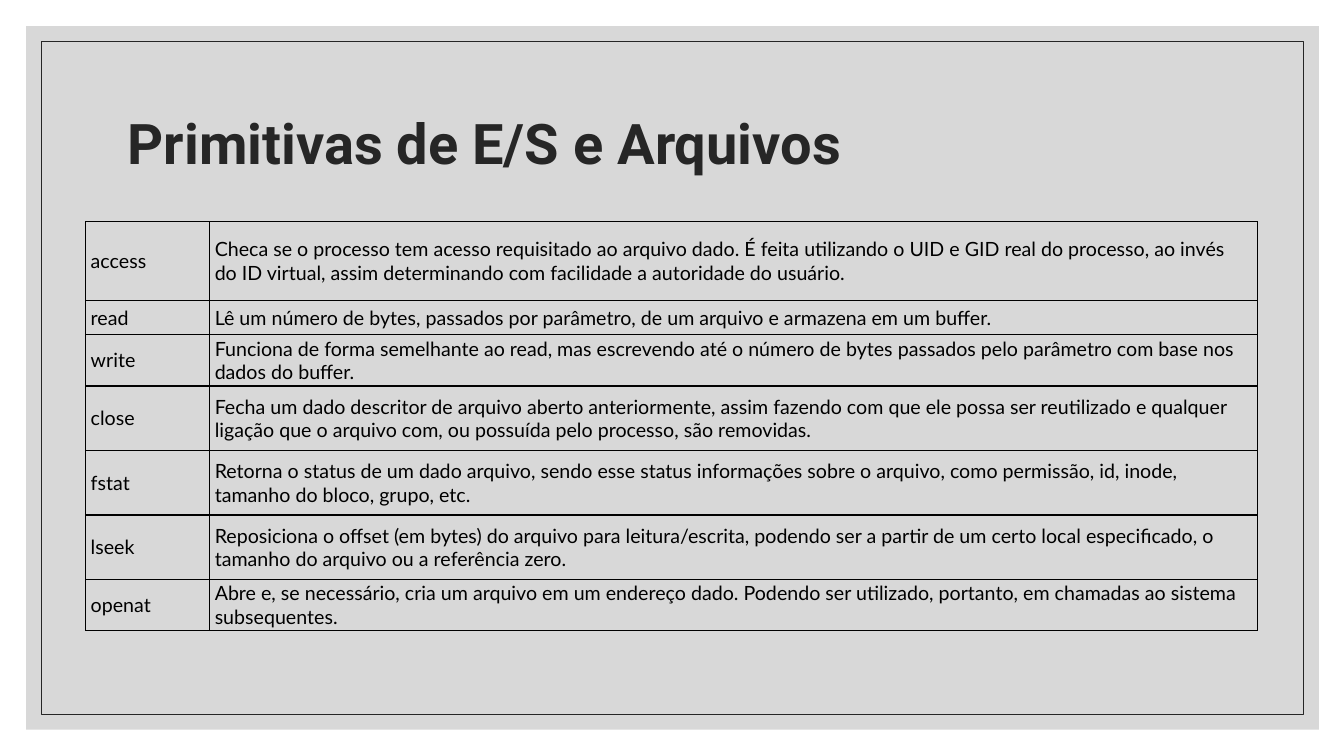
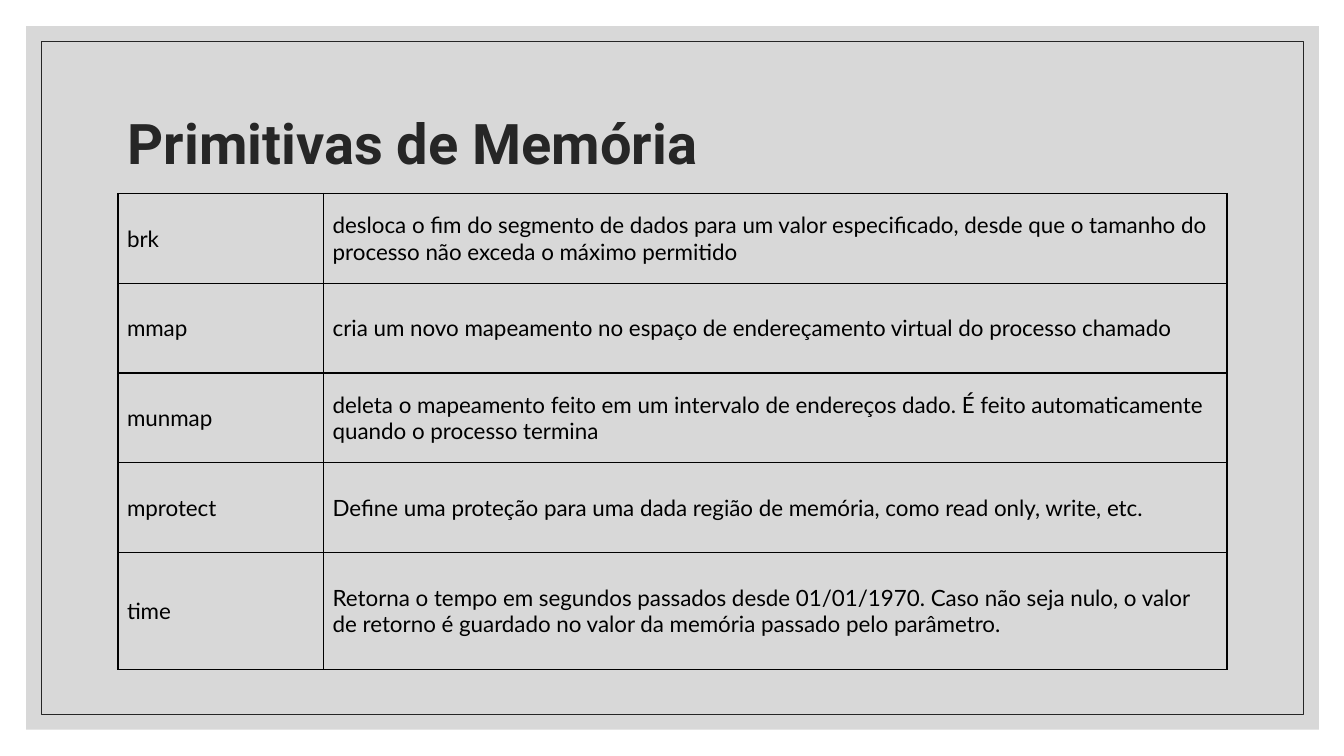
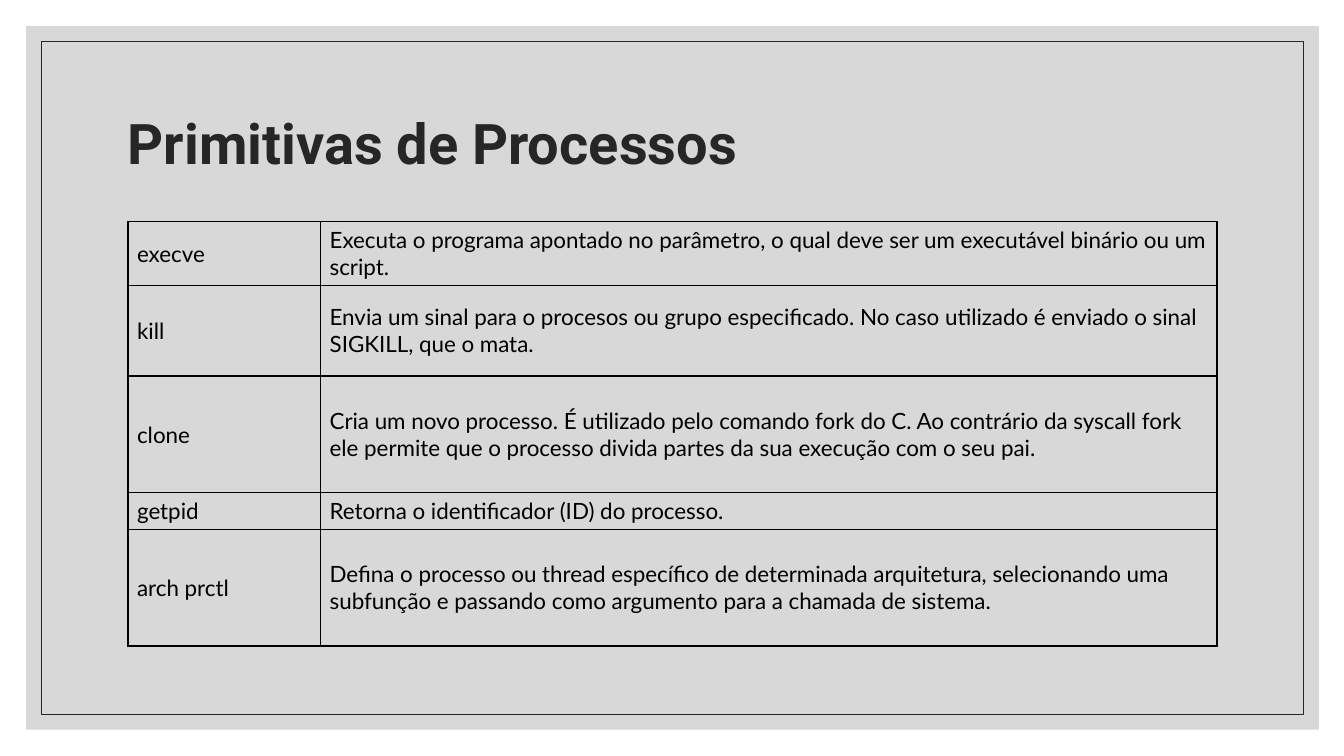
from dataclasses import dataclass

from lxml.etree import SubElement
from pptx import Presentation
from pptx.dml.color import RGBColor
from pptx.enum.shapes import MSO_SHAPE as Shape
from pptx.enum.text import MSO_ANCHOR as Anchor
from pptx.oxml import parse_xml
from pptx.oxml.ns import nsdecls, qn
from pptx.util import Emu, Pt

EMU_PER_PX = 9144
INK = "262626"
PANEL = "BFBFBF"
BLACK = "000000"
TITLE_FONT = "Roboto"
BODY_FONT = "Lato"


@dataclass(frozen=True)
class Entry:
    name: str
    meaning: str
    height: int


@dataclass(frozen=True)
class Topic:
    title: str
    left: int
    top: int
    columns: tuple[int, int]
    size: int
    inset: tuple[int, int]
    entries: tuple[Entry, ...]


TOPICS = (
    Topic("Primitivas de E/S e Arquivos", 85, 220, (123, 1039), 14, (5, 2), (
        Entry("access", "Checa se o processo tem acesso requisitado ao arquivo dado. É feita utilizando o UID e GID real do processo, ao invés do ID virtual, assim determinando com facilidade a autoridade do usuário.", 78),
        Entry("read", "Lê um número de bytes, passados por parâmetro, de um arquivo e armazena em um buffer.", 34),
        Entry("write", "Funciona de forma semelhante ao read, mas escrevendo até o número de bytes passados pelo parâmetro com base nos dados do buffer.", 51),
        Entry("close", "Fecha um dado descritor de arquivo aberto anteriormente, assim fazendo com que ele possa ser reutilizado e qualquer ligação que o arquivo com, ou possuída pelo processo, são removidas.", 64),
        Entry("fstat", "Retorna o status de um dado arquivo, sendo esse status informações sobre o arquivo, como permissão, id, inode, tamanho do bloco, grupo, etc.", 64),
        Entry("lseek", "Reposiciona o offset (em bytes) do arquivo para leitura/escrita, podendo ser a partir de um certo local especificado, o tamanho do arquivo ou a referência zero.", 64),
        Entry("openat", "Abre e, se necessário, cria um arquivo em um endereço dado. Podendo ser utilizado, portanto, em chamadas ao sistema subsequentes.", 51),
    )),
    Topic("Primitivas de Memória", 117, 192, (204, 896), 16, (9, 4), (
        Entry("brk", "desloca o fim do segmento de dados para um valor especificado, desde que o tamanho do processo não exceda o máximo permitido", 89),
        Entry("mmap", "cria um novo mapeamento no espaço de endereçamento virtual do processo chamado", 89),
        Entry("munmap", "deleta o mapeamento feito em um intervalo de endereços dado. É feito automaticamente quando o processo termina", 89),
        Entry("mprotect", "Define uma proteção para uma dada região de memória, como read only, write, etc.", 89),
        Entry("time", "Retorna o tempo em segundos passados desde 01/01/1970. Caso não seja nulo, o valor de retorno é guardado no valor da memória passado pelo parâmetro.", 116),
    )),
    Topic("Primitivas de Processos", 127, 220, (191, 889), 16, (9, 4), (
        Entry("execve", "Executa o programa apontado no parâmetro, o qual deve ser um executável binário ou um script.", 63),
        Entry("kill", "Envia um sinal para o procesos ou grupo especificado. No caso utilizado é enviado o sinal SIGKILL, que o mata.", 90),
        Entry("clone", "Cria um novo processo. É utilizado pelo comando fork do C. Ao contrário da syscall fork ele permite que o processo divida partes da sua execução com o seu pai.", 116),
        Entry("getpid", "Retorna o identificador (ID) do processo.", 36),
        Entry("arch prctl", "Defina o processo ou thread específico de determinada arquitetura, selecionando uma subfunção e passando como argumento para a chamada de sistema.", 116),
    )),
)


def px(length: int) -> Emu:
    return Emu(length * EMU_PER_PX)


def color(value: str) -> RGBColor:
    return RGBColor.from_string(value)


def add_run(para, text: str, font: str, size: int, ink: str, bold: bool = False) -> None:
    span = para.add_run()
    span.text = text
    span.font.name = font
    span.font.size = Pt(size)
    span.font.bold = bold
    span.font.color.rgb = color(ink)


def add_frame(page) -> None:
    panel, outline = (
        page.shapes.add_shape(
            Shape.RECTANGLE, px(margin), px(margin), px(width), px(height)
        )
        for margin, width, height in ((26, 1282, 698), (41, 1252, 668))
    )
    for box in (panel, outline):
        box.shadow.inherit = False
    panel.fill.solid()
    panel.fill.fore_color.rgb = color(PANEL)
    tint = panel.fill._xPr.find(".//" + qn("a:srgbClr"))
    SubElement(tint, qn("a:alpha"), val="60000")
    panel.line.fill.background()
    outline.fill.background()
    outline.line.color.rgb = color(INK)
    outline.line.width = Pt(0.5)


def add_title(page, title: str) -> None:
    frame = page.shapes.add_textbox(px(117), px(70), px(1100), px(150)).text_frame
    frame.word_wrap = True
    frame.vertical_anchor = Anchor.MIDDLE
    para = frame.paragraphs[0]
    para.line_spacing = 0.9
    add_run(para, title, TITLE_FONT, 40, INK, bold=True)


def add_borders(cell) -> None:
    properties = cell._tc.get_or_add_tcPr()
    for index, side in enumerate("LRTB"):
        border = parse_xml(
            f'<a:ln{side} {nsdecls("a")} w="{Pt(1)}"><a:solidFill>'
            f'<a:srgbClr val="{BLACK}"/></a:solidFill></a:ln{side}>'
        )
        properties.insert(index, border)


def fill_cell(cell, text: str, topic: Topic) -> None:
    across, down = topic.inset
    cell.margin_left = cell.margin_right = px(across)
    cell.margin_top = cell.margin_bottom = px(down)
    cell.vertical_anchor = Anchor.MIDDLE
    cell.fill.background()
    add_borders(cell)
    add_run(cell.text_frame.paragraphs[0], text, BODY_FONT, topic.size, BLACK)


def add_entries(page, topic: Topic) -> None:
    height = sum(entry.height for entry in topic.entries)
    table = page.shapes.add_table(
        len(topic.entries), len(topic.columns),
        px(topic.left), px(topic.top), px(sum(topic.columns)), px(height),
    ).table
    table.first_row = False
    table.horz_banding = False
    for column, width in zip(table.columns, topic.columns):
        column.width = px(width)
    for row, entry in zip(table.rows, topic.entries):
        row.height = px(entry.height)
        for cell, text in zip(row.cells, (entry.name, entry.meaning)):
            fill_cell(cell, text, topic)


def main() -> None:
    deck = Presentation()
    deck.slide_width = px(1333)
    deck.slide_height = px(750)
    for topic in TOPICS:
        page = deck.slides.add_slide(deck.slide_layouts[6])
        add_frame(page)
        add_title(page, topic.title)
        add_entries(page, topic)
    deck.save("out.pptx")


if __name__ == "__main__":
    main()
